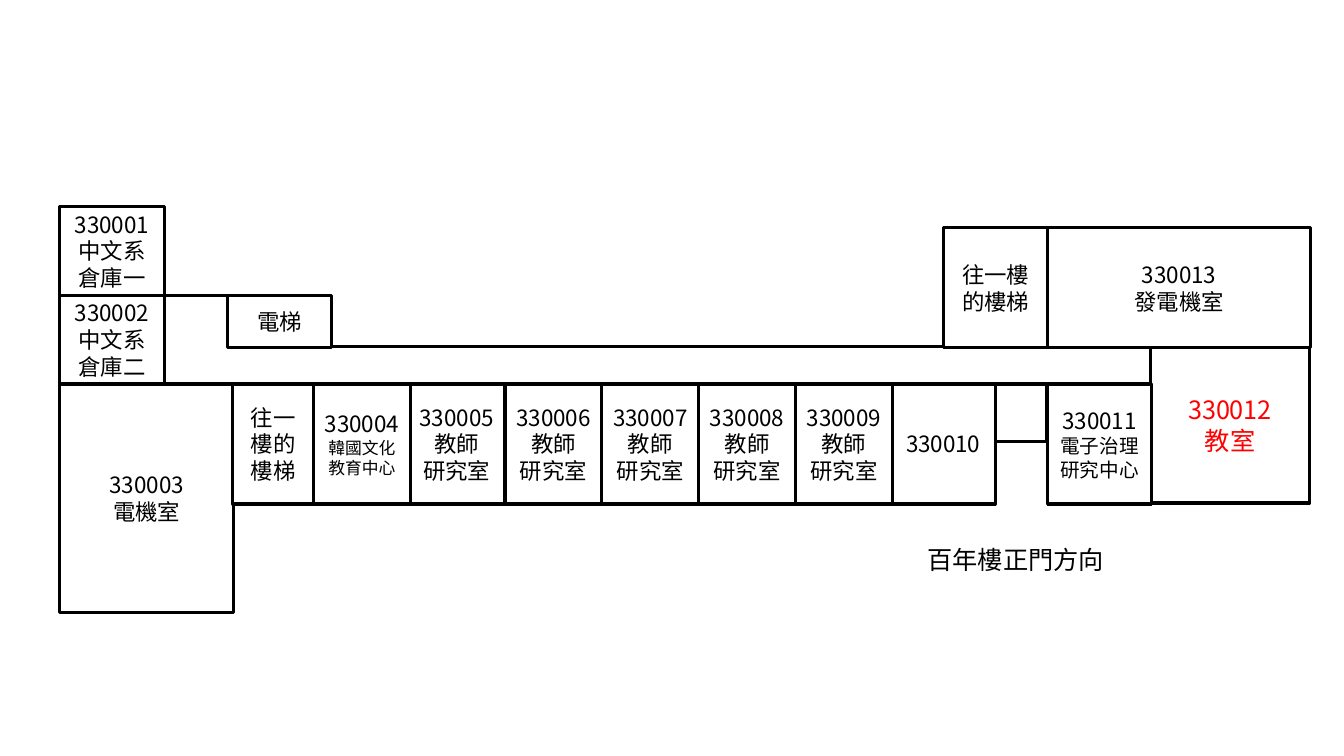
from lxml.etree import SubElement
from pptx import Presentation
from pptx.dml.color import RGBColor
from pptx.enum.shapes import MSO_CONNECTOR, MSO_SHAPE
from pptx.enum.text import MSO_ANCHOR, MSO_AUTO_SIZE, PP_ALIGN
from pptx.oxml.ns import qn
from pptx.util import Inches, Pt

COLORS = {"ink": "000000", "paper": "FFFFFF", "highlight": "FF0000"}
FONT = "Noto Sans CJK TC"
WALL_WIDTH = Pt(2.25)

UPPER_TOP = 2.26
STORE_TOP = 2.05
STORE_WIDTH, STORE_HEIGHT = 1.04, 0.88
LIFT_TOP = STORE_TOP + STORE_HEIGHT
CORRIDOR_TOP, CORRIDOR_BOTTOM = 3.44, 3.81
LEFT_EDGE = 0.59
ROOM_HEIGHT = 1.19
ROOM_WIDTH = 1.03
OFFICE_LEFT, OFFICE_WIDTH = 4.05, 0.96
EAST_LEFT = 10.39


class FloorPlan:
    def __init__(self, page):
        self.page = page

    def color(self, name):
        return RGBColor.from_string(COLORS[name])

    def set_text(self, frame, lines, sizes, color, align):
        """Fill a text frame; the last size also serves any further lines."""
        frame.word_wrap = True
        frame.text = "\n".join(lines)
        for index, para in enumerate(frame.paragraphs):
            para.alignment = align
            for span in para.runs:
                span.font.size = Pt(sizes[min(index, len(sizes) - 1)])
                span.font.name = FONT
                span.font.color.rgb = self.color(color)
                east_asian = SubElement(span.font._element, qn("a:ea"))
                east_asian.set("typeface", FONT)

    def room(self, left, top, width, height, lines=(), sizes=(16,), color="ink"):
        box = self.page.shapes.add_shape(
            MSO_SHAPE.RECTANGLE, Inches(left), Inches(top), Inches(width), Inches(height))
        box.shadow.inherit = False
        box.fill.solid()
        box.fill.fore_color.rgb = self.color("paper")
        box.line.color.rgb = self.color("ink")
        box.line.width = WALL_WIDTH
        if lines:
            box.text_frame.vertical_anchor = MSO_ANCHOR.MIDDLE
            self.set_text(box.text_frame, lines, sizes, color, PP_ALIGN.CENTER)

    def wall(self, left, right, top):
        line = self.page.shapes.add_connector(
            MSO_CONNECTOR.STRAIGHT, Inches(left), Inches(top), Inches(right), Inches(top))
        line.line.color.rgb = self.color("ink")
        line.line.width = WALL_WIDTH
        SubElement(line._element.spPr, qn("a:effectLst"))

    def label(self, left, top, width, height, text):
        box = self.page.shapes.add_textbox(
            Inches(left), Inches(top), Inches(width), Inches(height))
        self.set_text(box.text_frame, [text], (18,), "ink", PP_ALIGN.LEFT)
        box.text_frame.auto_size = MSO_AUTO_SIZE.SHAPE_TO_FIT_TEXT


def main():
    deck = Presentation()
    deck.slide_width, deck.slide_height = Inches(13.33), Inches(7.5)
    plan = FloorPlan(deck.slides.add_slide(deck.slide_layouts[6]))

    # East wing
    plan.room(11.41, CORRIDOR_TOP, 1.58, 1.55, ["330012", "教室"], (18,), "highlight")
    plan.room(EAST_LEFT, CORRIDOR_BOTTOM, ROOM_WIDTH, ROOM_HEIGHT,
              ["330011", "電子治理研究中心"], (16, 14))
    plan.room(EAST_LEFT, UPPER_TOP, 2.61, ROOM_HEIGHT, ["330013", "發電機室"])
    plan.room(8.84, CORRIDOR_BOTTOM, ROOM_WIDTH, ROOM_HEIGHT, ["330010"])
    plan.room(9.87, CORRIDOR_BOTTOM, 0.51, 0.57)
    plan.room(EAST_LEFT - ROOM_WIDTH, UPPER_TOP, ROOM_WIDTH, ROOM_HEIGHT, ["往一樓的樓梯"])
    plan.label(9.1, 5.35, 2.06, 0.4, "百年樓正門方向")

    # Offices 330005 to 330009, drawn from right to left
    for index in reversed(range(5)):
        plan.room(OFFICE_LEFT + index * OFFICE_WIDTH, CORRIDOR_BOTTOM, OFFICE_WIDTH,
                  ROOM_HEIGHT, [str(330005 + index), "教師", "研究室"])
    plan.room(3.11, CORRIDOR_BOTTOM, OFFICE_WIDTH, ROOM_HEIGHT,
              ["330004", "韓國文化教育中心"], (16, 12))

    # West wing
    plan.room(LEFT_EDGE, CORRIDOR_BOTTOM, 1.73, 2.27, ["330003", "電機室"])
    plan.room(LEFT_EDGE, LIFT_TOP, STORE_WIDTH, STORE_HEIGHT, ["330002", "中文系倉庫二"])
    plan.room(LEFT_EDGE, STORE_TOP, STORE_WIDTH, STORE_HEIGHT, ["330001", "中文系倉庫一"])
    plan.room(2.26, LIFT_TOP, ROOM_WIDTH, 0.52, ["電梯"])
    plan.wall(1.57, 2.26, LIFT_TOP)
    plan.wall(3.28, EAST_LEFT - ROOM_WIDTH, CORRIDOR_TOP)
    plan.room(2.31, CORRIDOR_BOTTOM, 0.8, ROOM_HEIGHT, ["往一樓的樓梯"])

    deck.save("out.pptx")


if __name__ == "__main__":
    main()
